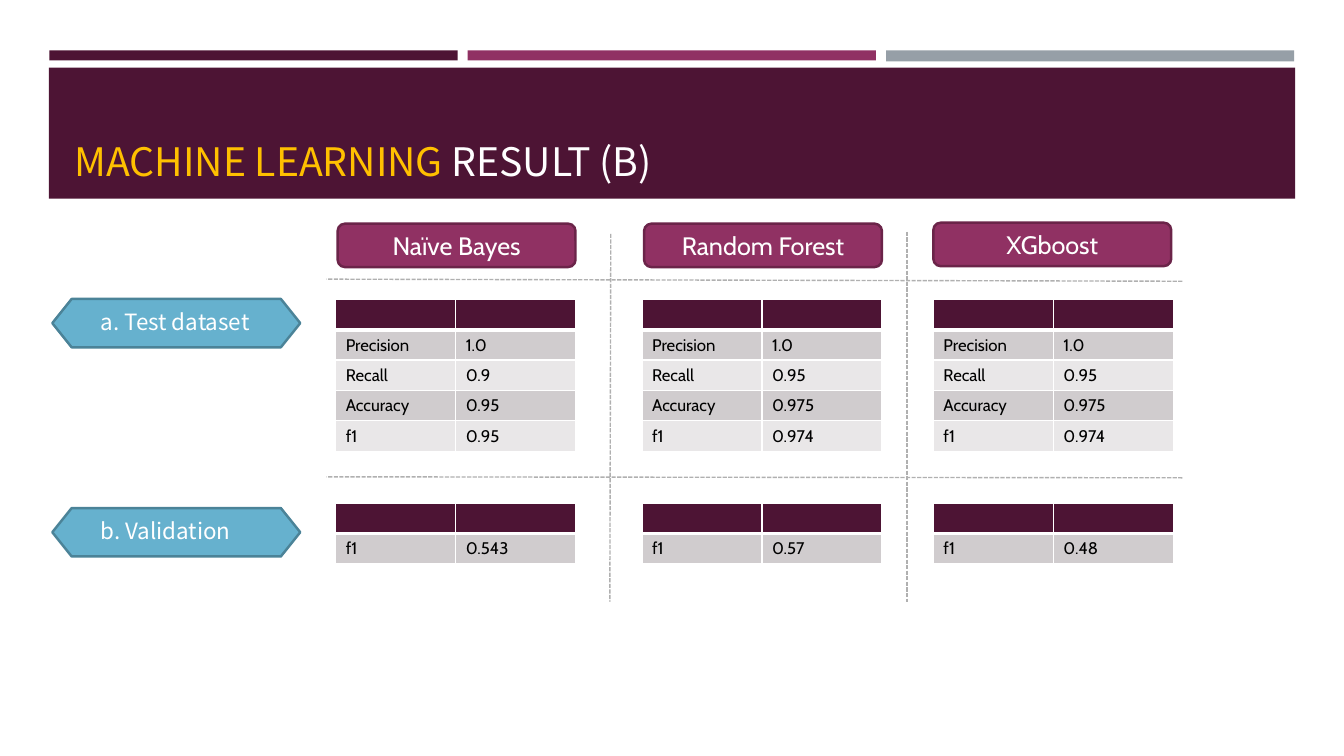
from dataclasses import dataclass

from lxml import etree
from pptx import Presentation
from pptx import util as u
from pptx.dml.color import RGBColor
from pptx.enum import dml, shapes, text
from pptx.oxml.ns import qn

COLORS = {
    "plum": "4D1434", "magenta": "903163", "magenta_line": "6B2449",
    "gray": "969FA7", "blue": "66B1CE", "blue_line": "4B8398",
    "gold": "FFC000", "title": "FFFEFF", "white": "FFFFFF", "black": "000000",
    "band_dark": "D0CCCE", "band_light": "E9E7E8", "dash": "B0B0B0",
}
CJK, CABIN = "Noto Sans CJK TC", "Cabin"
COL_W, ROW_H = 85.7, 21.7
METRICS = ("Precision", "Recall", "Accuracy", "f1")


@dataclass
class Bar:
    x: float
    y: float
    w: float
    h: float
    color: str


@dataclass
class Model:
    name: str
    table_x: float
    head_x: float
    head_y: float
    test: tuple[str, ...]
    validation: str


@dataclass
class Stage:
    label: str
    hexagon_y: float
    table_y: float


@dataclass
class Divider:
    x1: float
    y1: float
    x2: float
    y2: float


BARS = [
    Bar(35.3, 36, 291.6, 7.2, "plum"),
    Bar(632.9, 36, 291.6, 7.9, "gray"),
    Bar(334.1, 36, 291.6, 7.2, "magenta"),
    Bar(34.9, 48.4, 890.3, 93.6, "plum"),
]
MODELS = [
    Model("Naïve Bayes", 239.8, 241.2, 159.8, ("1.0", "0.9", "0.95", "0.95"), "0.543"),
    Model("Random Forest", 458.6, 460.1, 159.8, ("1.0", "0.95", "0.975", "0.974"), "0.57"),
    Model("XGboost", 666.7, 666.7, 159.1, ("1.0", "0.95", "0.975", "0.974"), "0.48"),
]
TEST = Stage("a. Test dataset", 213.5, 213.8)
VALIDATION = Stage("b. Validation", 362.9, 359.3)
DIVIDERS = [
    Divider(436.3, 167, 435.6, 429.8),
    Divider(648, 165.6, 648, 429.8),
    Divider(844.6, 200.9, 233.3, 199.4),
    Divider(844.6, 341.3, 233.3, 340.6),
]


def rgb(name: str) -> RGBColor:
    return RGBColor.from_string(COLORS[name])


def add_run(p, words: str, *, size: float, font: str, color: str) -> None:
    r = p.add_run()
    r.text = words
    r.font.size = u.Pt(size)
    r.font.name = font
    r.font.color.rgb = rgb(color)


def add_box(parent, kind, x: float, y: float, w: float, h: float, fill: str,
            line: str | None = None):
    sp = parent.add_shape(kind, u.Pt(x), u.Pt(y), u.Pt(w), u.Pt(h))
    sp.shadow.inherit = False
    sp.fill.solid()
    sp.fill.fore_color.rgb = rgb(fill)
    if line:
        sp.line.color.rgb = rgb(line)
        sp.line.width = u.Pt(1.75)
    else:
        sp.line.fill.background()
    return sp


def format_title(sp) -> None:
    sp.left, sp.top, sp.width, sp.height = map(u.Pt, (46.1, 55.4, 868.3, 79.9))
    tf = sp.text_frame
    tf.auto_size = text.MSO_AUTO_SIZE.NONE
    tf.vertical_anchor = text.MSO_ANCHOR.BOTTOM
    p = tf.paragraphs[0]
    p.alignment = text.PP_ALIGN.LEFT
    add_run(p, "MACHINE LEARNING", size=28, font=CJK, color="gold")
    add_run(p, " RESULT (B)", size=28, font=CJK, color="title")


def add_stage_label(s, stage: Stage) -> None:
    group = s.shapes.add_group_shape().shapes
    sp = add_box(group, shapes.MSO_SHAPE.HEXAGON, 37.4, stage.hexagon_y,
                 177.1, 34.6, "blue", "blue_line")
    sp.adjustments[0] = 0.4
    sp = group.add_textbox(u.Pt(62.6), u.Pt(stage.hexagon_y + 3.6), u.Pt(190.1), u.Pt(27.4))
    tf = sp.text_frame
    tf.word_wrap = True
    tf.vertical_anchor = text.MSO_ANCHOR.MIDDLE
    tf.margin_left = tf.margin_right = tf.margin_top = tf.margin_bottom = u.Pt(9.4)
    p = tf.paragraphs[0]
    p.line_spacing = 0.9
    add_run(p, stage.label, size=16, font=CJK, color="white")


def add_model_head(s, model: Model) -> None:
    sp = add_box(s.shapes, shapes.MSO_SHAPE.ROUNDED_RECTANGLE, model.head_x,
                 model.head_y, 169.9, 31, "magenta", "magenta_line")
    tf = sp.text_frame
    tf.vertical_anchor = text.MSO_ANCHOR.MIDDLE
    p = tf.paragraphs[0]
    p.alignment = text.PP_ALIGN.CENTER
    add_run(p, model.name, size=18, font=CABIN, color="white")


def set_borders(cell, *, top: float = 1, bottom: float = 1) -> None:
    """Draw white cell borders; call before the fill, which must follow them in the XML."""
    tc_pr = cell._tc.get_or_add_tcPr()
    for side, width in (("L", 1), ("R", 1), ("T", top), ("B", bottom)):
        ln = etree.SubElement(tc_pr, qn(f"a:ln{side}"), w=str(u.Pt(width)))
        fill = etree.SubElement(ln, qn("a:solidFill"))
        etree.SubElement(fill, qn("a:srgbClr"), val=COLORS["white"])


def fill_cell(cell, color: str) -> None:
    cell.fill.solid()
    cell.fill.fore_color.rgb = rgb(color)


def add_scores(s, x: float, y: float, scores: list[tuple[str, str]]) -> None:
    """Add a metric/value table under a blank dark header row."""
    n = len(scores) + 1
    table = s.shapes.add_table(n, 2, u.Pt(x), u.Pt(y), u.Pt(2 * COL_W), u.Pt(n * ROW_H)).table
    for col in table.columns:
        col.width = u.Pt(COL_W)
    for row in table.rows:
        row.height = u.Pt(ROW_H)
    for cell in table.rows[0].cells:
        set_borders(cell, bottom=3)
        fill_cell(cell, "plum")
        p = cell.text_frame.paragraphs[0]
        etree.SubElement(p._p, qn("a:endParaRPr"), sz="1200")
    for i, score in enumerate(scores, start=1):
        for cell, words in zip(table.rows[i].cells, score):
            set_borders(cell, top=3 if i == 1 else 1)
            fill_cell(cell, "band_dark" if i % 2 else "band_light")
            add_run(cell.text_frame.paragraphs[0], words, size=12, font=CABIN, color="black")


def add_divider(s, d: Divider) -> None:
    line = s.shapes.add_connector(shapes.MSO_CONNECTOR.STRAIGHT,
                                  *map(u.Pt, (d.x1, d.y1, d.x2, d.y2)))
    line.line.color.rgb = rgb("dash")
    line.line.width = u.Pt(1)
    line.line.dash_style = dml.MSO_LINE.SQUARE_DOT
    etree.SubElement(line._element.spPr, qn("a:effectLst"))


def main() -> None:
    prs = Presentation()
    prs.slide_width, prs.slide_height = u.Pt(960), u.Pt(540)
    s = prs.slides.add_slide(prs.slide_layouts[5])
    for bar in BARS:
        add_box(s.shapes, shapes.MSO_SHAPE.RECTANGLE, bar.x, bar.y, bar.w, bar.h, bar.color)
    title = s.shapes.title
    format_title(title)
    s.shapes._spTree.append(title._element)
    for stage in (TEST, VALIDATION):
        add_stage_label(s, stage)
    for d in DIVIDERS:
        add_divider(s, d)
    for model in MODELS:
        add_model_head(s, model)
        add_scores(s, model.table_x, TEST.table_y, list(zip(METRICS, model.test)))
        add_scores(s, model.table_x, VALIDATION.table_y, [("f1", model.validation)])
    prs.save("out.pptx")


if __name__ == "__main__":
    main()
